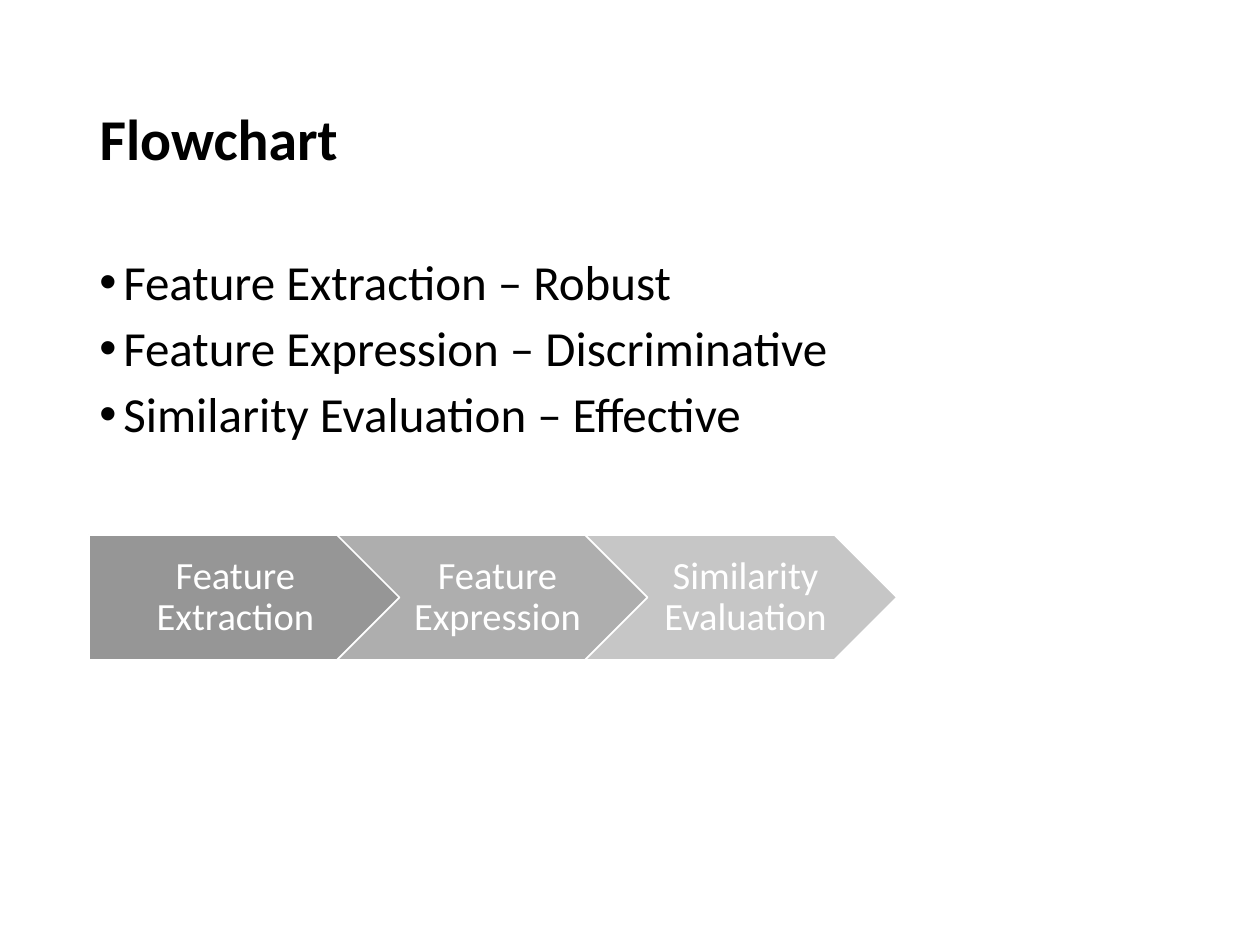
from typing import NamedTuple

from lxml.etree import SubElement
from pptx import Presentation
from pptx.dml.color import RGBColor
from pptx.enum.shapes import MSO_SHAPE as Shape
from pptx.enum.text import MSO_ANCHOR as Anchor, MSO_AUTO_SIZE as AutoSize, PP_ALIGN as Align
from pptx.oxml.ns import qn
from pptx.util import Pt

PX = 914400 // 126  # EMU per pixel
FONT = "Calibri"
BLACK, WHITE = "000000", "FFFFFF"


class Box(NamedTuple):
    left: int
    top: int
    width: int
    height: int


class Step(NamedTuple):
    text: str
    outline: Shape
    fill: str
    left_inset: int


TITLE_BOX = Box(87, 50, 1086, 183)
GOALS_BOX = Box(87, 252, 1086, 600)
FIRST_STEP = Box(89, 535, 312, 125)
STEP_PITCH = 248
BULLET_INDENT = 24

GOALS = [
    "Feature Extraction – Robust",
    "Feature Expression – Discriminative",
    "Similarity Evaluation – Effective",
]
STEPS = [
    Step("Feature Extraction", Shape.PENTAGON, "969696", 16),
    Step("Feature Expression", Shape.CHEVRON, "AEAEAE", 13),
    Step("Similarity Evaluation", Shape.CHEVRON, "C6C6C6", 13),
]


def rgb(value: str) -> RGBColor:
    return RGBColor.from_string(value)


def emu(box: Box) -> list[int]:
    return [length * PX for length in box]


def write(paragraph, text: str, size: int, color: str, align: Align, bold: bool = False) -> None:
    paragraph.alignment = align
    paragraph.line_spacing = 0.9
    run = paragraph.add_run()
    run.text = text
    run.font.name = FONT
    run.font.size = Pt(size)
    run.font.bold = bold
    run.font.color.rgb = rgb(color)


def add_bullet(paragraph) -> None:
    properties = paragraph._p.get_or_add_pPr()
    properties.set("marL", str(BULLET_INDENT * PX))
    properties.set("indent", str(-BULLET_INDENT * PX))
    SubElement(properties, qn("a:buFont"), typeface="Arial")
    SubElement(properties, qn("a:buChar"), char="•")


def draw_title(slide, text: str) -> None:
    title = slide.shapes.title
    title.left, title.top, title.width, title.height = emu(TITLE_BOX)
    frame = title.text_frame
    frame.auto_size = AutoSize.NONE
    frame.vertical_anchor = Anchor.MIDDLE
    write(frame.paragraphs[0], text, 33, BLACK, Align.LEFT, bold=True)


def draw_goals(slide, goals: list[str]) -> None:
    frame = slide.shapes.add_textbox(*emu(GOALS_BOX)).text_frame
    frame.word_wrap = True
    for index, goal in enumerate(goals):
        paragraph = frame.add_paragraph() if index else frame.paragraphs[0]
        write(paragraph, goal, 28, BLACK, Align.LEFT)
        paragraph.space_before = Pt(7.5)
        add_bullet(paragraph)


def draw_step(slide, step: Step, box: Box) -> None:
    arrow = slide.shapes.add_shape(step.outline, *emu(box))
    arrow.shadow.inherit = False
    arrow.fill.solid()
    arrow.fill.fore_color.rgb = rgb(step.fill)
    arrow.line.color.rgb = rgb(WHITE)
    arrow.line.width = Pt(1)
    frame = arrow.text_frame
    frame.word_wrap = True
    frame.vertical_anchor = Anchor.MIDDLE
    frame.margin_left, frame.margin_right = step.left_inset * PX, 4 * PX
    frame.margin_top = frame.margin_bottom = 8 * PX
    write(frame.paragraphs[0], step.text, 22, WHITE, Align.CENTER)


def main() -> None:
    deck = Presentation()
    deck.slide_width, deck.slide_height = 1260 * PX, 945 * PX
    slide = deck.slides.add_slide(deck.slide_layouts[5])

    # Heading and goals
    draw_title(slide, "Flowchart")
    draw_goals(slide, GOALS)

    # Process arrows
    for index, step in enumerate(STEPS):
        left = FIRST_STEP.left + index * STEP_PITCH
        draw_step(slide, step, FIRST_STEP._replace(left=left))

    deck.save("out.pptx")


if __name__ == "__main__":
    main()
